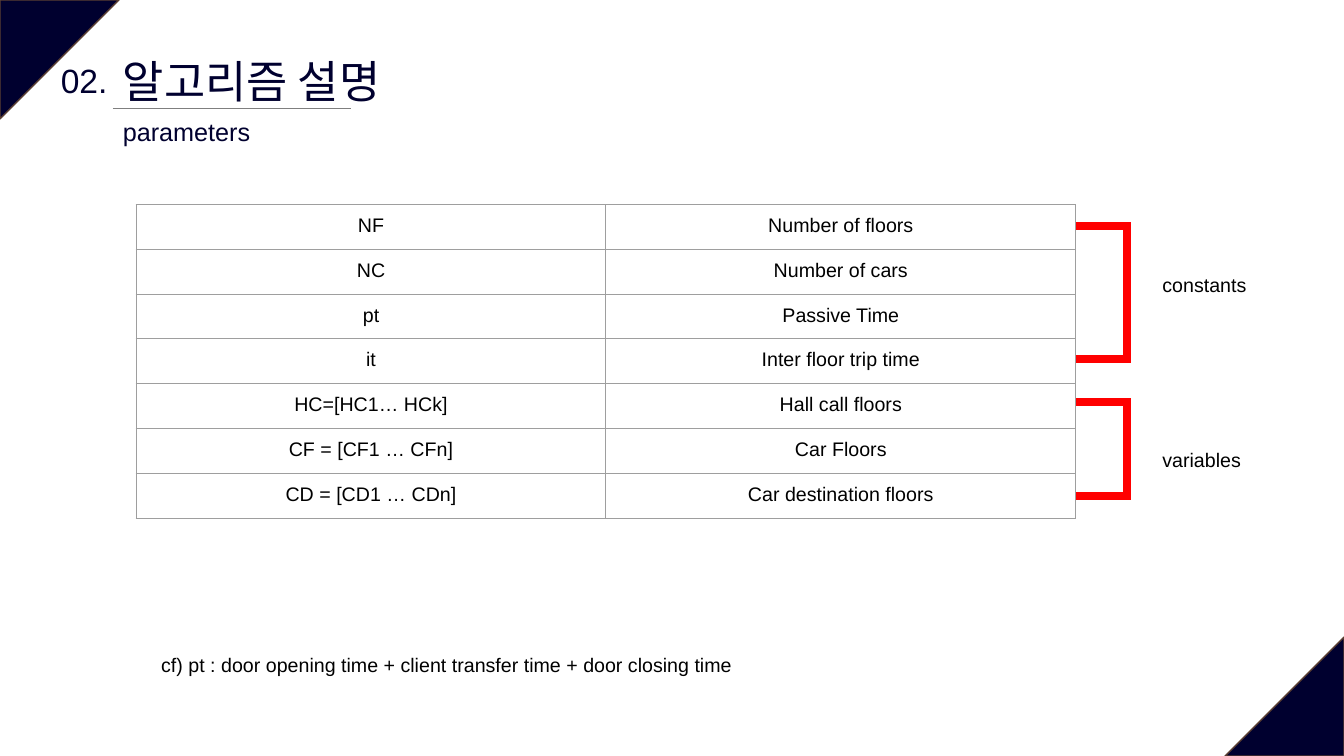
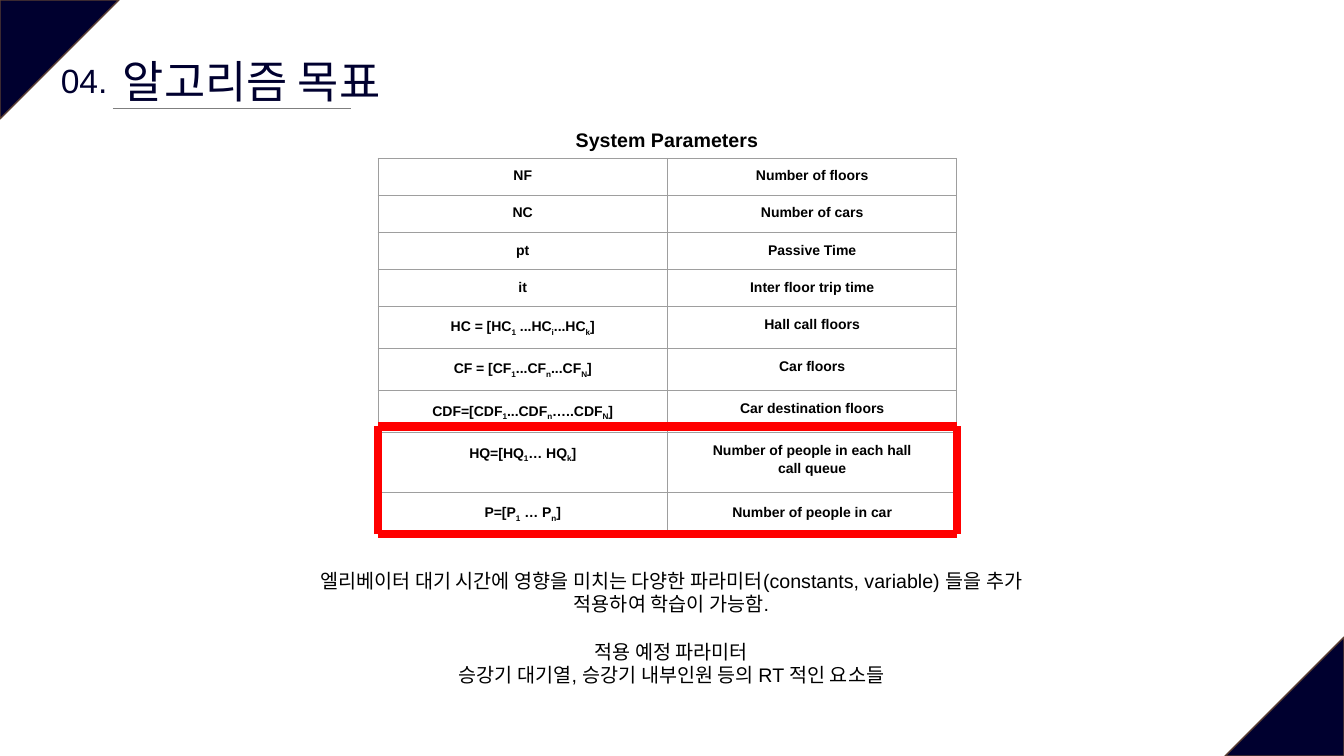
"""Two slides on the parameters and the goal of an elevator algorithm."""
from itertools import pairwise

from lxml.etree import SubElement
from pptx import Presentation
from pptx.dml.color import RGBColor
from pptx.enum.shapes import MSO_CONNECTOR as Connector, MSO_SHAPE as Shape
from pptx.enum.text import PP_ALIGN as Align
from pptx.oxml.ns import qn
from pptx.util import Inches, Pt

COLORS = {"navy": "00002F", "brown": "5B3F33", "rule": "7F7F7F",
          "grid": "9E9E9E", "red": "FF0000", "black": "000000"}
FONT = "Arial"
WIDTH, HEIGHT = 13.33, 7.5
CORNER = 1.18
MARK_WIDTH = 6

HEADINGS = [("02.", "알고리즘 설명"), ("04.", "알고리즘 목표")]
SUBTITLE = "parameters"
CONSTANTS = [("NF", "Number of floors"), ("NC", "Number of cars"),
             ("pt", "Passive Time"), ("it", "Inter floor trip time")]
VARIABLES = [("HC=[HC1… HCk]", "Hall call floors"),
             ("CF = [CF1 … CFn]", "Car Floors"),
             ("CD = [CD1 … CDn]", "Car destination floors")]
BRACKETS = [("constants", 2.24, 3.56, 2.61), ("variables", 3.99, 4.92, 4.34)]
FOOTNOTE = "cf) pt : door opening time + client transfer time + door closing time"

SYSTEM_TITLE = "System Parameters"
SUBSCRIPT = "~"
VECTORS = [("HC = [HC~1~ ...HC~i~...HC~k~]", "Hall call floors"),
           ("CF = [CF~1~...CF~n~...CF~N~]", "Car floors"),
           ("CDF=[CDF~1~...CDF~n~…..CDF~N~]", "Car destination floors")]
PLANNED = [("HQ=[HQ~1~… HQ~k~]", "Number of people in each hall\ncall queue"),
           ("P=[P~1~ … P~n~]", "Number of people in car")]
LOOSE_LINES = {"call queue", "Number of people in car"}
SYSTEM_ROWS = [0.36] * len(CONSTANTS) + [0.41] * len(VECTORS) + [0.59, 0.41]
GOALS = ("엘리베이터 대기 시간에 영향을 미치는 다양한 파라미터(constants, variable) 들을 추가 적용하여 학습이 가능함.\n"
         "적용 예정 파라미터\n"
         "승강기 대기열, 승강기 내부인원 등의 RT 적인 요소들")


def rgb(name):
    return RGBColor.from_string(COLORS[name])


def write(frame, text, size, color="black", bold=False, align=Align.CENTER):
    for index, line in enumerate(text.split("\n")):
        paragraph = frame.add_paragraph() if index else frame.paragraphs[0]
        paragraph.alignment = align
        if SUBSCRIPT in line or line in LOOSE_LINES:
            paragraph.line_spacing = 1.15
        for position, piece in enumerate(line.split(SUBSCRIPT)):
            run = paragraph.add_run()
            run.text = piece
            for key, value in {"name": FONT, "size": Pt(size), "bold": bold}.items():
                setattr(run.font, key, value)
            run.font.color.rgb = rgb(color)
            if position % 2:
                run.font._element.set("baseline", "-25000")


def add_text(slide, box, text, size, inset=0.1, **style):
    frame = slide.shapes.add_textbox(*map(Inches, box)).text_frame
    layout = {"word_wrap": True, "margin_top": Inches(inset), "margin_bottom": Inches(inset)}
    for key, value in layout.items():
        setattr(frame, key, value)
    write(frame, text, size, **style)
    return frame


def add_line(slide, start, end, color="red", width=MARK_WIDTH):
    line = slide.shapes.add_connector(Connector.STRAIGHT, *map(Inches, (*start, *end)))
    line.line.color.rgb = rgb(color)
    line.line.width = Pt(width)
    SubElement(line._element.spPr, qn("a:effectLst"))


def add_grid(slide, left, top, column, heights, rows, size, bold=False):
    table = slide.shapes.add_table(len(rows), 2, *map(Inches, (left, top, 2 * column, sum(heights)))).table
    table.first_row = table.horz_banding = False
    for grid_column in table.columns:
        grid_column.width = Inches(column)
    for grid_row, height, texts in zip(table.rows, heights, rows):
        grid_row.height = Inches(height)
        for cell, text in zip(grid_row.cells, texts):
            for side in ("left", "right", "top", "bottom"):
                setattr(cell, f"margin_{side}", Inches(0.1))
            properties = cell._tc.get_or_add_tcPr()
            for edge in "LRTB":
                border = SubElement(properties, qn(f"a:ln{edge}"), w=str(Pt(0.75)))
                fill = SubElement(border, qn("a:solidFill"))
                SubElement(fill, qn("a:srgbClr"), val=COLORS["grid"])
            cell.fill.background()
            write(cell.text_frame, text, size, bold=bold)


def add_base(deck, number, title):
    slide = deck.slides.add_slide(deck.slide_layouts[6])
    for left, top, turn in ((0, 0, 90), (WIDTH - CORNER, HEIGHT - CORNER, 270)):
        corner = slide.shapes.add_shape(Shape.RIGHT_TRIANGLE, *map(Inches, (left, top, CORNER, CORNER)))
        corner.rotation = turn
        corner.shadow.inherit = False
        corner.fill.solid()
        corner.fill.fore_color.rgb = rgb("navy")
        corner.line.color.rgb = rgb("brown")
        corner.line.width = Pt(1)
    add_line(slide, (1.12, 1.08), (3.48, 1.08), "rule", 0.75)
    add_text(slide, (1.12, 0.48, 5.54, 0.64), title, 32, 0.05, color="navy", align=Align.LEFT)
    add_text(slide, (0.5, 0.55, 0.67, 0.5), number, 24, 0.05, color="navy")
    return slide


def build_parameters(slide):
    left, top, column = 1.35, 2.03, 4.66
    rows = CONSTANTS + VARIABLES
    add_text(slide, (1.12, 1.1, 5.54, 0.42), SUBTITLE, 18, 0.05, color="navy", align=Align.LEFT)
    add_grid(slide, left, top, column, [3.11 / len(rows)] * len(rows), rows, 14)
    edge, spine = left + 2 * column, 11.18
    overlap = MARK_WIDTH / 72 / 2
    for label, upper, lower, label_top in BRACKETS:
        for level in (upper, lower):
            add_line(slide, (edge, level), (spine + overlap, level))
        add_line(slide, (spine, upper), (spine, lower))
        add_text(slide, (11.43, label_top, 1.71, 0.5), label, 14, align=Align.LEFT)
    add_text(slide, (1.5, 6.38, 8.58, 0.69), FOOTNOTE, 14, align=Align.LEFT)


def build_goal(slide):
    left, top, column = 3.75, 1.57, 2.87
    goals = add_text(slide, (3.08, 5.54, 7.16, 1.39), GOALS, 14)
    goals.paragraphs[1].space_before = Pt(17)
    add_text(slide, (4.31, 1.17, 4.61, 0.36), SYSTEM_TITLE, 14, bold=True)
    add_grid(slide, left, top, column, SYSTEM_ROWS, CONSTANTS + VECTORS + PLANNED, 10, True)
    right, upper, lower = left + 2 * column, 4.23, 5.3
    corners = [(left, upper), (right, upper), (right, lower), (left, lower), (left, upper)]
    for start, end in pairwise(corners):
        add_line(slide, start, end)


def main():
    deck = Presentation()
    deck.slide_width, deck.slide_height = Inches(WIDTH), Inches(HEIGHT)
    for heading, build in zip(HEADINGS, (build_parameters, build_goal)):
        build(add_base(deck, *heading))
    deck.save("out.pptx")


if __name__ == "__main__":
    main()
